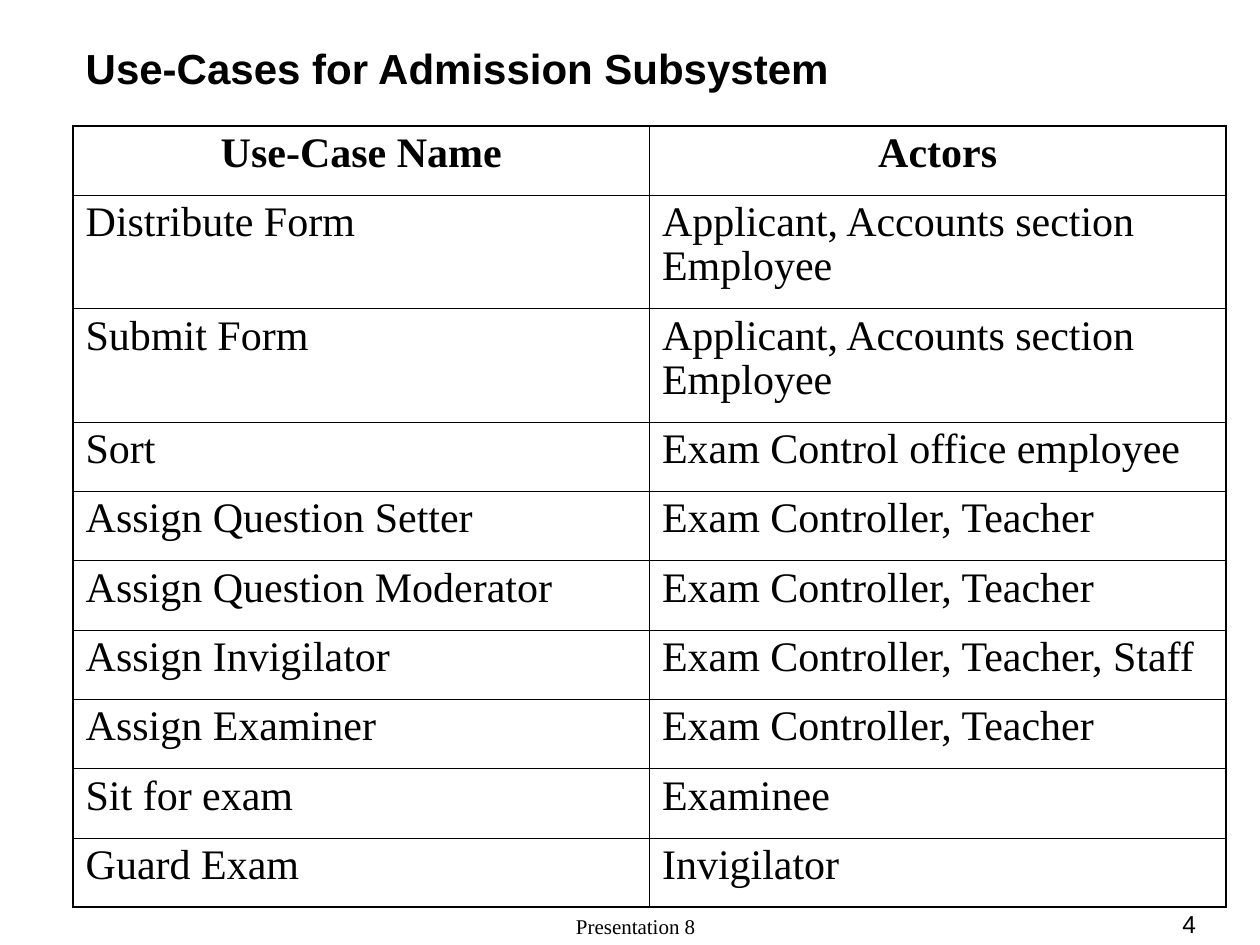
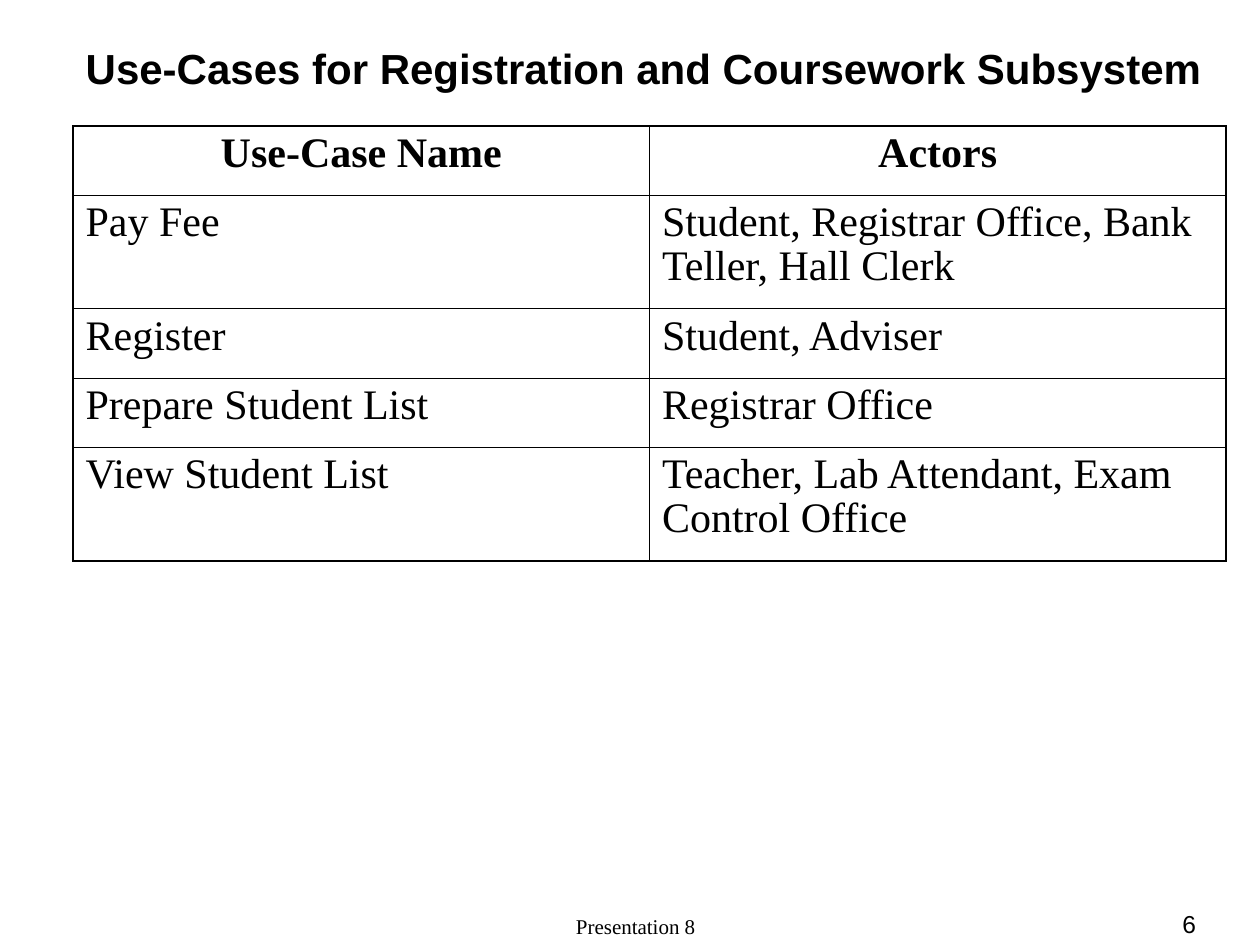
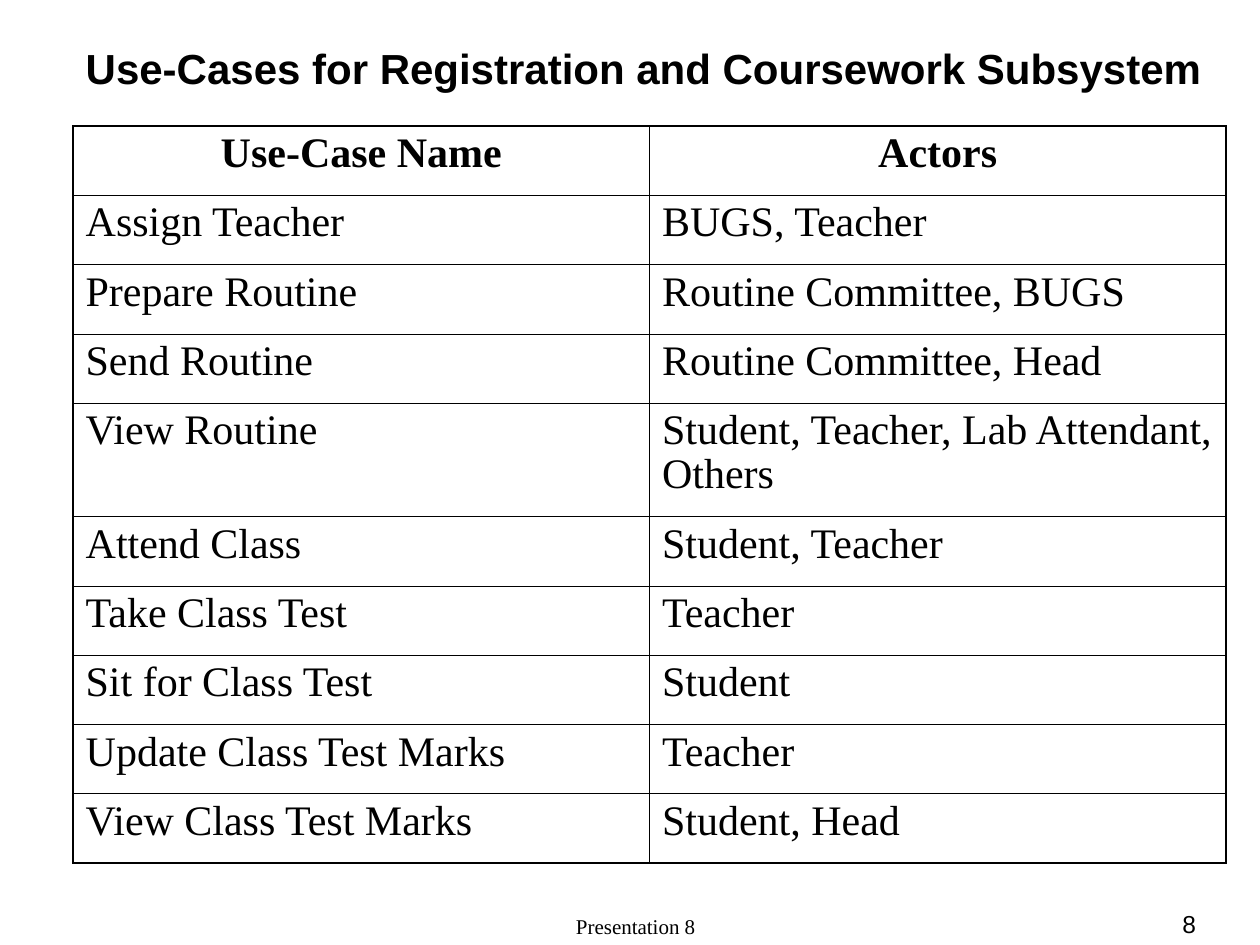
from pptx import Presentation
from pptx.dml.color import RGBColor
from pptx.enum.text import MSO_ANCHOR as Anchor, PP_ALIGN as Align
from pptx.oxml.ns import qn
from pptx.util import Inches, Pt
from lxml.etree import SubElement as Sub

INK = "000000"
SANS, SERIF = "Arial", "Times New Roman"
THICK, THIN = Pt(1.08), Pt(0.45)
HEAD = ("Use-Case Name", "Actors")
COURSE = "Use-Cases for Registration and Coursework Subsystem"

ADMIT = [
    ("Distribute Form", "Applicant, Accounts section Employee"),
    ("Submit Form", "Applicant, Accounts section Employee"),
    ("Sort", "Exam Control office employee"),
    ("Assign Question Setter", "Exam Controller, Teacher"),
    ("Assign Question Moderator", "Exam Controller, Teacher"),
    ("Assign Invigilator", "Exam Controller, Teacher, Staff"),
    ("Assign Examiner", "Exam Controller, Teacher"),
    ("Sit for exam", "Examinee"),
    ("Guard Exam", "Invigilator"),
]
ENROL = [
    ("Pay Fee", "Student, Registrar Office, Bank Teller, Hall Clerk"),
    ("Register", "Student, Adviser"),
    ("Prepare Student List", "Registrar Office"),
    ("View Student List", "Teacher, Lab Attendant, Exam Control Office"),
]
CLASSES = [
    ("Assign Teacher", "BUGS, Teacher"),
    ("Prepare Routine", "Routine Committee, BUGS"),
    ("Send Routine", "Routine Committee, Head"),
    ("View Routine", "Student, Teacher, Lab Attendant, Others"),
    ("Attend Class", "Student, Teacher"),
    ("Take Class Test", "Teacher"),
    ("Sit for Class Test", "Student"),
    ("Update Class Test Marks", "Teacher"),
    ("View Class Test Marks", "Student, Head"),
]


def color(code):
    return RGBColor.from_string(code)


class Deck:
    """Holds the shared style and the current slide."""

    def __init__(self):
        self.prs = Presentation()
        self.prs.slide_width, self.prs.slide_height = Inches(10), Inches(7.5)

    def label(self, frame, text, size, face, align=Align.LEFT, bold=False):
        para = frame.paragraphs[0]
        para.alignment = align
        run = para.add_run()
        run.text = text
        font = run.font
        font.size, font.name, font.bold = Pt(size), face, bold
        font.color.rgb = color(INK)
        return para

    def start(self, text):
        self.slide = self.prs.slides.add_slide(self.prs.slide_layouts[5])
        title = self.slide.shapes.title
        title.left, title.top = Inches(0.58), Inches(0.25)
        title.width, title.height = Inches(9.42), Inches(0.58)
        title.text_frame.vertical_anchor = Anchor.MIDDLE
        self.label(title.text_frame, text, 24, SANS, bold=True)

    def foot(self, text, left, width, size, face, align):
        box = self.slide.shapes.add_textbox(
            Inches(left), Inches(7.25), Inches(width), Inches(0.25))
        frame = box.text_frame
        frame.word_wrap = True
        frame.vertical_anchor = Anchor.BOTTOM
        self.label(frame, text, size, face, align)

    def edge(self, cell, side, width):
        line = Sub(cell._tc.get_or_add_tcPr(), qn(f"a:ln{side}"), w=str(width))
        fill = Sub(line, qn("a:solidFill"))
        Sub(fill, qn("a:srgbClr"), val=INK)

    def table(self, rows, tall):
        rows = [HEAD, *rows]
        highs = [0.9 if row in tall else 0.55 for row in range(len(rows))]
        grid = self.slide.shapes.add_table(
            len(rows), 2, Inches(0.58), Inches(1),
            Inches(9.15), Inches(sum(highs))).table
        for row, (texts, high) in enumerate(zip(rows, highs)):
            grid.rows[row].height = Inches(high)
            head, last = row == 0, row == len(rows) - 1
            for col, text in enumerate(texts):
                cell = grid.cell(row, col)
                para = self.label(cell.text_frame, text, 24, SERIF,
                                  Align.CENTER if head else Align.LEFT, head)
                para.line_spacing = 0.95
                outer = {"L": col == 0, "R": col == 1, "T": head, "B": last}
                for side, thick in outer.items():
                    self.edge(cell, side, THICK if thick else THIN)
                cell.fill.background()

    def page(self, title, num, rows, tall):
        self.start(title)
        self.foot("Presentation 8", 3.42, 3.25, 12, SERIF, Align.CENTER)
        self.foot(str(num), 8.42, 1.17, 14, SANS, Align.RIGHT)
        self.table(rows, tall)


def main():
    deck = Deck()
    deck.page("Use-Cases for Admission Subsystem", 4, ADMIT, (1, 2))
    deck.page(COURSE, 6, ENROL, (1, 4))
    deck.page(COURSE, 8, CLASSES, (4,))
    deck.prs.save("out.pptx")


if __name__ == "__main__":
    main()
